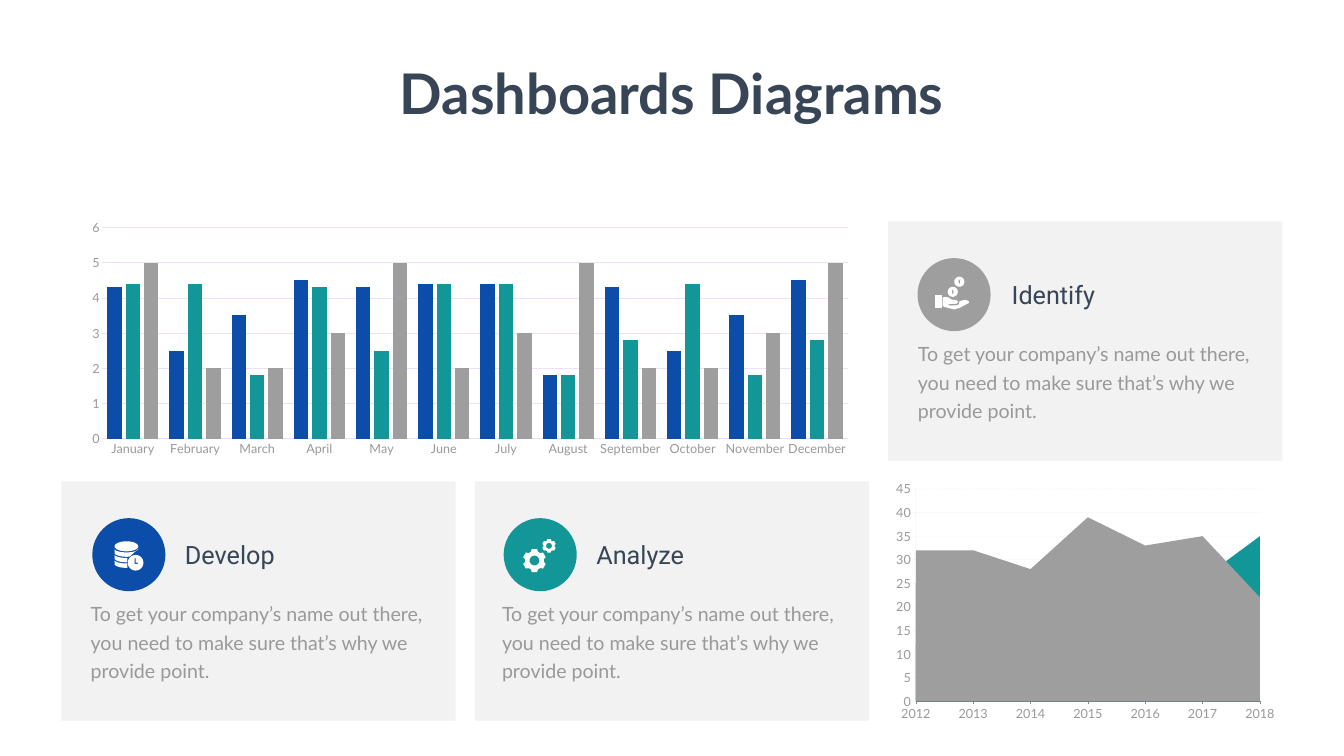
import math

import pptx
import pptx.chart.data
import pptx.dml.color
import pptx.enum.chart
import pptx.enum.dml
import pptx.enum.shapes
import pptx.enum.text
import pptx.oxml
import pptx.oxml.ns
import pptx.util

Pt = pptx.util.Pt
RGB = pptx.dml.color.RGBColor
CHART = pptx.enum.chart
SHAPE = pptx.enum.shapes.MSO_SHAPE
qn = pptx.oxml.ns.qn

BLUE = RGB(0x0B, 0x4D, 0xA8)
TEAL = RGB(0x12, 0x96, 0x98)
GREY = RGB(0x9D, 0x9E, 0x9D)
NAVY = RGB(0x37, 0x45, 0x56)
TEXT_GREY = RGB(0x99, 0x99, 0x99)
FAINT = RGB(0x80, 0x80, 0x80)  # made 10% opaque at the end
GRID_LILAC = RGB(0xF0, 0xDF, 0xF8)
WHITE = RGB(0xFF, 0xFF, 0xFF)
PAGE = RGB(0xFE, 0xFF, 0xFE)

TITLE_FONT = {"name": "Lato", "size": Pt(80), "bold": True}
HEADING_FONT = {"name": "Roboto", "size": Pt(36)}
BODY_FONT = {"name": "Lato", "size": Pt(28)}
CHART_FONT = {"name": "Lato", "size": Pt(18)}
BODY = ("To get your company’s name out there, you need to make sure "
        "that’s why we provide point.")


def set_font(font, values, colour):
    for attribute, value in values.items():
        setattr(font, attribute, value)
    font.color.rgb = colour


def arc(cx, cy, rx, ry, start=0, end=360, steps=24):
    angles = [math.radians(start + (end - start) * i / steps) for i in range(steps + 1)]
    return [(cx + rx * math.cos(a), cy + ry * math.sin(a)) for a in angles]


prs = pptx.Presentation()
prs.slide_width, prs.slide_height = Pt(1919.5), Pt(1080)
slide = prs.slides.add_slide(prs.slide_layouts[5])
slide.background.fill.solid()
slide.background.fill.fore_color.rgb = PAGE

# Title
title = slide.shapes.title
title.left, title.top, title.width, title.height = Pt(555.8), Pt(80.6), Pt(807.8), Pt(104.4)
title.text_frame.text = "Dashboards Diagrams"
title.text_frame.word_wrap = False
title.text_frame.vertical_anchor = pptx.enum.text.MSO_ANCHOR.TOP
title.text_frame.paragraphs[0].alignment = pptx.enum.text.PP_ALIGN.CENTER
set_font(title.text_frame.paragraphs[0].runs[0].font, TITLE_FONT, NAVY)

# Charts: kind, box, inner plot area, axis maximum and step, categories, series
charts = [
    (CHART.XL_CHART_TYPE.AREA, (1268.6, 681.8, 563, 356.4), (0.07, 0.047, 0.873, 0.851),
     45, 5, [str(year) for year in range(2012, 2019)],
     [("Series 1", GREY, (32, 32, 28, 39, 33, 35, 22)),
      ("Series 2", TEAL, (12, 24, 22, 21, 28, 26, 35)),
      ("Series 3", BLUE, (25, 19, 19, 15, 30, 25, 15))]),
    (CHART.XL_CHART_TYPE.COLUMN_CLUSTERED, (90, 254.9, 1151.3, 413.3),
     (0.048, 0.169, 0.926, 0.731), 6, 1,
     ["January", "February", "March", "April", "May", "June", "July", "August",
      "September", "October", "November", "December"],
     [("Lorem", BLUE, (4.3, 2.5, 3.5, 4.5, 4.3, 4.4, 4.4, 1.8, 4.3, 2.5, 3.5, 4.5)),
      ("Ipsum", TEAL, (4.4, 4.4, 1.8, 4.3, 2.5, 4.4, 4.4, 1.8, 2.8, 4.4, 1.8, 2.8)),
      ("Dolor", GREY, (5, 2, 2, 3, 5, 2, 3, 5, 2, 2, 3, 5))]),
]
drawn_charts = []
for kind, box, inner, maximum, step, categories, series_rows in charts:
    data = pptx.chart.data.CategoryChartData()
    data.categories = categories
    for name, _, values in series_rows:
        data.add_series(name, values)
    chart = slide.shapes.add_chart(kind, *map(Pt, box), data).chart
    drawn_charts.append(chart)
    chart.has_legend = chart.has_title = False
    set_font(chart.font, CHART_FONT, TEXT_GREY)
    plot = chart.plots[0]
    plot.vary_by_categories = False
    for series, (_, colour, _) in zip(plot.series, series_rows):
        series.format.fill.solid()
        series.format.fill.fore_color.rgb = colour

    months, amounts = chart.category_axis, chart.value_axis
    months.has_major_gridlines = False
    amounts.has_major_gridlines = True
    amounts.minimum_scale, amounts.maximum_scale, amounts.major_unit = 0, maximum, step
    grid = amounts.major_gridlines.format.line
    grid.width = Pt(0.75)
    if kind == CHART.XL_CHART_TYPE.AREA:
        grid.color.rgb = FAINT
        grid.dash_style = pptx.enum.dml.MSO_LINE.DASH
        amounts.format.line.color.rgb = FAINT
        amounts.format.line.width = Pt(0.75)
        next(chart.element.iter(qn("c:crossBetween"))).set("val", "midCat")
    else:
        plot.gap_width, plot.overlap = 77, -27
        grid.color.rgb = GRID_LILAC
        for axis in (months, amounts):
            axis.major_tick_mark = CHART.XL_TICK_MARK.NONE
            axis.format.line.fill.background()

    # Fixed inner plot area
    plot_area = next(chart.element.iter(qn("c:plotArea")))
    for old_layout in plot_area.findall(qn("c:layout")):
        plot_area.remove(old_layout)
    places = '<c:xMode val="edge"/><c:yMode val="edge"/>' + "".join(
        f'<c:{side} val="{value}"/>' for side, value in zip("xywh", inner))
    plot_area.insert(0, pptx.oxml.parse_xml(
        f'<c:layout {pptx.oxml.ns.nsdecls("c")}><c:manualLayout>'
        f'<c:layoutTarget val="inner"/>{places}</c:manualLayout></c:layout>'))

# Icons: each part is a list of contours, in points from the badge corner
database = [[arc(48.8, 40.3, 17, 7.2)]]
for y, top_end, bottom_end in ((43.9, 0, 75), (51.8, 85, 85), (59.7, 85, 85)):
    database.append([arc(48.8, y, 17, 5, 180, top_end)
                     + arc(48.8, y + 5.5, 17, 5.8, bottom_end, 180)])
clock_hands = [(60.5, 57.2), (62.1, 57.2), (62.1, 63.6), (65.2, 63.6), (65.2, 65.5), (60.5, 65.5)]
database.append([arc(61.9, 63.7, 11.2, 11.2), clock_hands])

gears = []
for cx, cy, radius in ((44, 60.6, 16.8), (64.8, 39.6, 10)):
    teeth = []
    for angle in range(30, 390, 60):
        for turn, reach in ((-21, 0.81), (-13.5, 1), (13.5, 1), (21, 0.81)):
            a = math.radians(angle + turn)
            teeth.append((cx + radius * reach * math.cos(a), cy + radius * reach * math.sin(a)))
    gears.append([teeth, arc(cx, cy, radius * 0.42, radius * 0.42)])

cuff = [(25.2, 53.3), (35.3, 53.3), (35.3, 71.3), (25.2, 71.3)]
palm = [(73.4, 61.9), (70, 60), (66.2, 59.8), (59.8, 61.9), (59, 66.2), (55.4, 67.7),
        (45.4, 67.7), (43.9, 67), (45.4, 65.5), (55.4, 65.5), (58.3, 62.6), (55.4, 59.8),
        (49, 59.4), (44.6, 56.5), (40.3, 55.4), (36, 56.2), (36, 67.7), (36.7, 69.1),
        (43.9, 71.3), (52.6, 73.4), (61.2, 70.6), (73.4, 64.1)]
hand = [[cuff], [palm]]
for cx, cy in ((59.8, 33.8), (50.4, 48.2)):
    hand.append([arc(cx, cy, 7.2, 7.2), arc(cx, cy, 1.1, 3.2)])

# Cards: heading, colour, card corner, badge, heading and body left edges, icon
cards = [
    ("Develop", BLUE, 87.8, 687.6, 131.8, 257, 122.4, database),
    ("Analyze", TEAL, 678.2, 687.6, 719.3, 844.6, 709.9, gears),
    ("Identify", GREY, 1268.6, 316.1, 1310.4, 1437.8, 1303.9, hand),
]
for heading, colour, left, top, badge_left, heading_left, body_left, icon in cards:
    badge_top = top + 52.6
    for kind, box, fill in ((SHAPE.RECTANGLE, (left, top, 563, 342), FAINT),
                            (SHAPE.OVAL, (badge_left, badge_top, 104.4, 104.4), colour)):
        panel = slide.shapes.add_shape(kind, *map(Pt, box))
        panel.shadow.inherit = False
        panel.fill.solid()
        panel.fill.fore_color.rgb = fill
        panel.line.fill.background()

    for words, box, font, ink, spacing in (
            (BODY, (body_left, top + 162, 502, 127.4), BODY_FONT, TEXT_GREY, Pt(40.8)),
            (heading, (heading_left, top + 79.2, 286, 51), HEADING_FONT, NAVY, None)):
        frame = slide.shapes.add_textbox(*map(Pt, box)).text_frame
        frame.word_wrap = True
        frame.text = words
        frame.paragraphs[0].line_spacing = spacing
        set_font(frame.paragraphs[0].runs[0].font, font, ink)

    for contours in icon:
        outlines = [[(Pt(badge_left + x), Pt(badge_top + y)) for x, y in contour]
                    for contour in contours]
        builder = slide.shapes.build_freeform(*outlines[0][0], scale=1.0)
        for number, outline in enumerate(outlines):
            if number:
                builder.move_to(*outline[0])
            builder.add_line_segments(outline[1:], close=True)
        part = builder.convert_to_shape()
        part.shadow.inherit = False
        part.fill.solid()
        part.fill.fore_color.rgb = WHITE
        part.line.fill.background()

# Transparency of the faint colour
for root in [slide.element] + [chart.element for chart in drawn_charts]:
    for tint in root.iter(qn("a:srgbClr")):
        if tint.get("val") == str(FAINT):
            tint.append(pptx.oxml.parse_xml(
                f'<a:alpha {pptx.oxml.ns.nsdecls("a")} val="10000"/>'))

prs.save("out.pptx")
